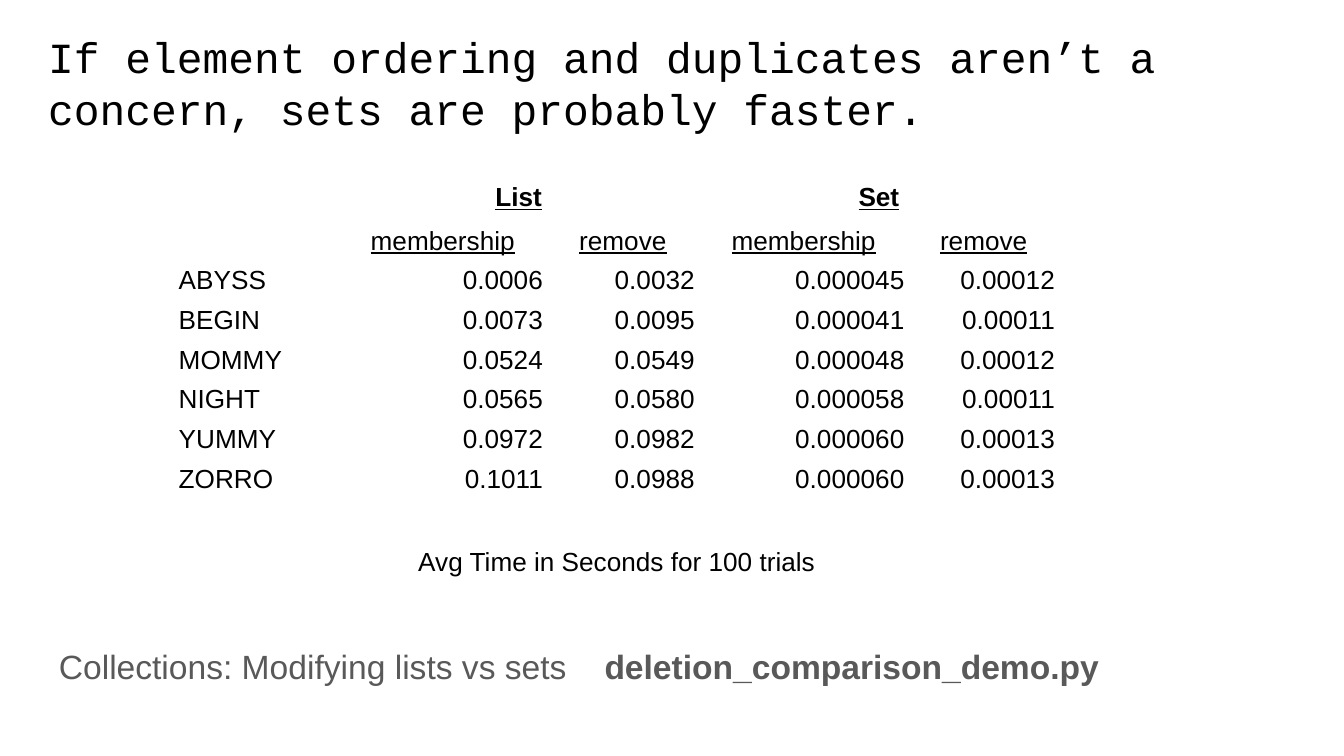
import pptx
import pptx.dml.color
import pptx.enum.text
import pptx.oxml
import pptx.oxml.ns
import pptx.util
from pptx.util import Inches

BLACK = pptx.dml.color.RGBColor(0x00, 0x00, 0x00)
GRAY = pptx.dml.color.RGBColor(0x59, 0x59, 0x59)
ALIGN = pptx.enum.text.PP_ALIGN
ANCHOR = pptx.enum.text.MSO_ANCHOR


def add_run(paragraph, text, color, **font_format):
    run = paragraph.add_run()
    run.text = text
    run.font.color.rgb = color
    for name, value in font_format.items():
        setattr(run.font, name, value)


def add_text_frame(slide, left, top, width, height, anchor):
    box = slide.shapes.add_textbox(Inches(left), Inches(top), Inches(width), Inches(height))
    frame = box.text_frame
    frame_format = {"word_wrap": True, "vertical_anchor": anchor}
    for side in ("left", "right", "top", "bottom"):
        frame_format[f"margin_{side}"] = Inches(0.1)
    for name, value in frame_format.items():
        setattr(frame, name, value)
    return frame


deck = pptx.Presentation()
deck.slide_width = Inches(10)
deck.slide_height = deck.slide_width * 9 // 16
slide = deck.slides.add_slide(deck.slide_layouts[6])

# Footer: topic, then the demo file at a tab stop
footer = add_text_frame(slide, 0.34, 4.63, 8.96, 0.66, ANCHOR.MIDDLE).paragraphs[0]
footer_font = {"size": pptx.util.Pt(18), "name": "Arial"}
add_run(footer, "Collections: Modifying lists vs sets\t", GRAY, **footer_font)
add_run(footer, "deletion_comparison_demo.py", GRAY, bold=True, **footer_font)
tab_stops = pptx.oxml.parse_xml(
    f'<a:tabLst {pptx.oxml.ns.nsdecls("a")}><a:tab pos="{Inches(4.06)}" algn="l"/></a:tabLst>'
)
footer._p.get_or_add_pPr().append(tab_stops)

# Timing table
rows = [
    ("", "List", "", "Set", ""),
    ("", "membership", "remove", "membership", "remove"),
    ("ABYSS", "0.0006", "0.0032", "0.000045", "0.00012"),
    ("BEGIN", "0.0073", "0.0095", "0.000041", "0.00011"),
    ("MOMMY", "0.0524", "0.0549", "0.000048", "0.00012"),
    ("NIGHT", "0.0565", "0.0580", "0.000058", "0.00011"),
    ("YUMMY", "0.0972", "0.0982", "0.000060", "0.00013"),
    ("ZORRO", "0.1011", "0.0988", "0.000060", "0.00013"),
    ("", "", "", "", ""),
    ("Avg Time in Seconds for 100 trials", "", "", "", ""),
]
column_widths = [1.22, 1.55, 1.13, 1.56, 1.12]
heading_rows = (0, 1)
caption_row = len(rows) - 1
cell_format = {
    "vertical_anchor": ANCHOR.BOTTOM,
    "margin_left": Inches(0.03),
    "margin_right": Inches(0.03),
    "margin_top": pptx.util.Pt(0.5),
    "margin_bottom": Inches(0.02),
}

timings = slide.shapes.add_table(
    len(rows), len(column_widths), Inches(1.3), Inches(1.27),
    Inches(sum(column_widths)), Inches(0.22 * len(rows)),
).table
timings.first_row = False
timings.horz_banding = False
for column, width in zip(timings.columns, column_widths):
    column.width = Inches(width)

for r, texts in enumerate(rows):
    timings.rows[r].height = Inches(0.22)
    for c, text in enumerate(texts):
        cell = timings.cell(r, c)
        cell.fill.background()
        for name, value in cell_format.items():
            setattr(cell, name, value)
        if not text:
            continue
        paragraph = cell.text_frame.paragraphs[0]
        paragraph.line_spacing = 1.15
        if r in heading_rows or r == caption_row:
            paragraph.alignment = ALIGN.CENTER
        else:
            paragraph.alignment = ALIGN.RIGHT if c else ALIGN.LEFT
        add_run(paragraph, text, BLACK, size=pptx.util.Pt(14), name="Arial",
                bold=r == 0, underline=r in heading_rows)

for r, first, last in [(0, 1, 2), (0, 3, 4), (caption_row, 0, 4)]:
    timings.cell(r, first).merge(timings.cell(r, last))

# Title
title_frame = add_text_frame(slide, 0.26, 0.14, 9.48, 1.13, ANCHOR.TOP)
title_frame.margin_top = Inches(0.08)
title = title_frame.paragraphs[0]
title.line_spacing = pptx.util.Pt(28)
add_run(title, "If element ordering and duplicates aren’t a concern, sets are probably faster.",
        BLACK, size=pptx.util.Pt(23), name="Courier New")

deck.save("out.pptx")
